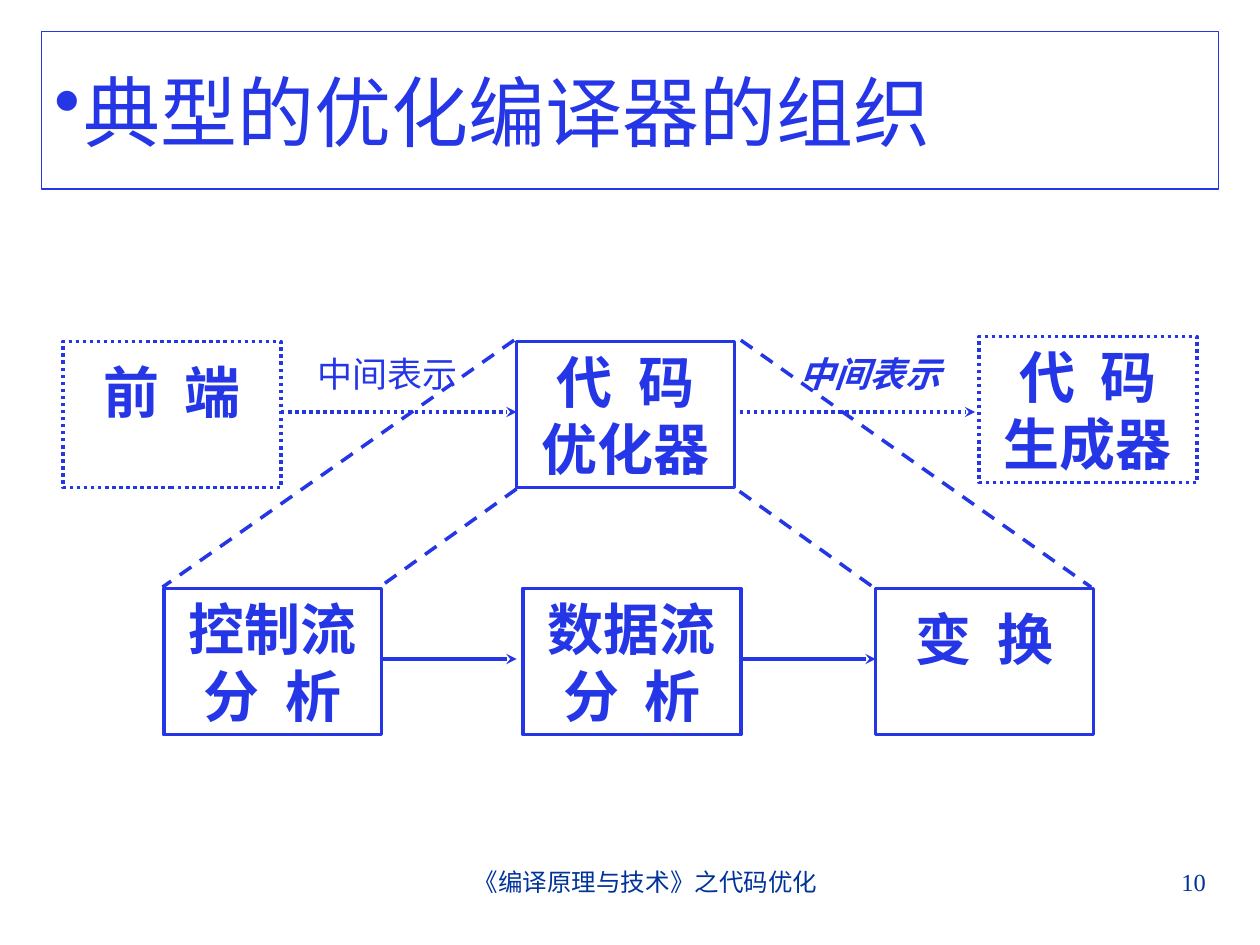
from lxml import etree
from pptx import Presentation
from pptx import util as u
from pptx.dml.color import RGBColor
from pptx.enum import dml, shapes, text
from pptx.oxml.ns import qn

# Grid of 100 columns by 75 rows
COLS, ROWS = 100, 75
BLUE, NAVY = "2436E6", "003399"
WIDE, HIGH = 17.3, 11.6
DOT, DASH = dml.MSO_LINE.ROUND_DOT, dml.MSO_LINE.DASH
LEFT, MID, RIGHT = text.PP_ALIGN.LEFT, text.PP_ALIGN.CENTER, text.PP_ALIGN.RIGHT

deck = Presentation()
deck.slide_width, deck.slide_height = u.Inches(10), u.Inches(7.5)
slide = deck.slides.add_slide(deck.slide_layouts[5])


def grid(*cells):
    """Turn alternating columns and rows into lengths."""
    sizes = (deck.slide_width / COLS, deck.slide_height / ROWS)
    return [u.Emu(round(c * sizes[i % 2])) for i, c in enumerate(cells)]


def tint(color, code):
    color.rgb = RGBColor.from_string(code)


def stroke(line, width=2, dash=None):
    line.fill.solid()
    tint(line.color, BLUE)
    line.width = u.Pt(width)
    if dash:
        line.dash_style = dash


def write(shape, words, size, face, code=BLUE, align=LEFT, bold=False, slant=False):
    frame = shape.text_frame
    frame.text = words
    for para in frame.paragraphs:
        para.alignment = align
        font = para.font
        font.size, font.name = u.Pt(size), face
        font.bold, font.italic = bold, slant
        tint(font.color, code)
    return frame


def head(box):
    """Framed title with a bullet."""
    title = slide.shapes.title
    title.left, title.top, title.width, title.height = grid(*box)
    stroke(title.line, 0.75)
    frame = write(title, "典型的优化编译器的组织", 44, "Arial")
    frame.auto_size = text.MSO_AUTO_SIZE.NONE
    frame.vertical_anchor = text.MSO_ANCHOR.MIDDLE
    mark = etree.Element(qn("a:buChar"), char="•")
    frame.paragraphs[0].font  # keeps the bullet ahead of the font settings
    props = frame.paragraphs[0]._p.get_or_add_pPr()
    props.insert(0, mark)


def stage(x, y, words, dash=None):
    """One step of the compiler."""
    box = slide.shapes.add_shape(shapes.MSO_SHAPE.RECTANGLE, *grid(x, y, WIDE, HIGH))
    box.shadow.inherit = False
    box.fill.background()
    stroke(box.line, 2, dash)
    frame = write(box, words, 32, "Times New Roman", align=MID, bold=True)
    frame.vertical_anchor = text.MSO_ANCHOR.TOP
    frame.margin_top = u.Inches(0.05 if "\n" in words else 0.13)


def link(ends, dash=None, arrow=False):
    """Straight line, with or without an arrowhead."""
    wire = slide.shapes.add_connector(shapes.MSO_CONNECTOR.STRAIGHT, *grid(*ends))
    stroke(wire.line, 2, dash)
    props = wire._element.spPr
    if arrow:
        etree.SubElement(props.find(qn("a:ln")), qn("a:tailEnd"), type="stealth")
    etree.SubElement(props, qn("a:effectLst"))


def note(box, words, size, face, **style):
    label = slide.shapes.add_textbox(*grid(*box))
    frame = write(label, words, size, face, **style)
    frame.word_wrap = True
    return frame


def flow(x, y):
    """Compiler stages above, optimizer parts below."""
    low = y + 19.6
    # Stages
    for dx, dy, words, dash in (
        (0, 0, "前  端", DOT),
        (72.7, -0.4, "代  码\n生成器", DOT),
        (36, 0, "代  码\n优化器", None),
    ):
        stage(x + dx, y + dy, words, dash)
    for dx, words in ((8, "控制流\n分  析"), (36.5, "数据流\n分  析"), (64.5, "变  换")):
        stage(x + dx, low, words)
    # Arrows
    for dx, row, span, dash in (
        (17.3, y, 18.7, DOT),
        (53.7, y, 18.7, DOT),
        (25.4, low, 10.6, None),
        (54, low, 10.5, None),
    ):
        link((x + dx, row + 5.6, x + dx + span, row + 5.6), dash, True)
    # Lines that open up the optimizer
    for ax, ay, bx, by in (
        (35.8, -0.1, 7.9, 19.5),
        (36, 11.7, 25.4, 19.3),
        (53.8, -0.1, 81.6, 19.5),
        (53.7, 11.9, 64.3, 19.5),
    ):
        link((x + ax, y + ay, x + bx, y + by), DASH)
    # Labels over the arrows
    for dx, strong in ((19.2, False), (57.5, True)):
        frame = note((x + dx, y + 0.4, 14.2, 4.4), "中间表示", 20, "Arial",
                     bold=strong, slant=strong)
        frame.paragraphs[0].space_before = u.Pt(12.5)


def foot(y, high):
    """Course name and page number."""
    for x, wide, words, align in (
        (34.2, 31.7, "《编译原理与技术》之代码优化", MID),
        (71.7, 25, "10", RIGHT),
    ):
        frame = note((x, y, wide, high), words, 14, "Times New Roman",
                     code=NAVY, align=align)
        frame.paragraphs[0]._p.get_or_add_pPr().set("marL", str(u.Inches(0.24)))


head((3.3, 2.5, 93.4, 12.5))
flow(5, 27.1)
foot(68.3, 5.2)
deck.save("out.pptx")
